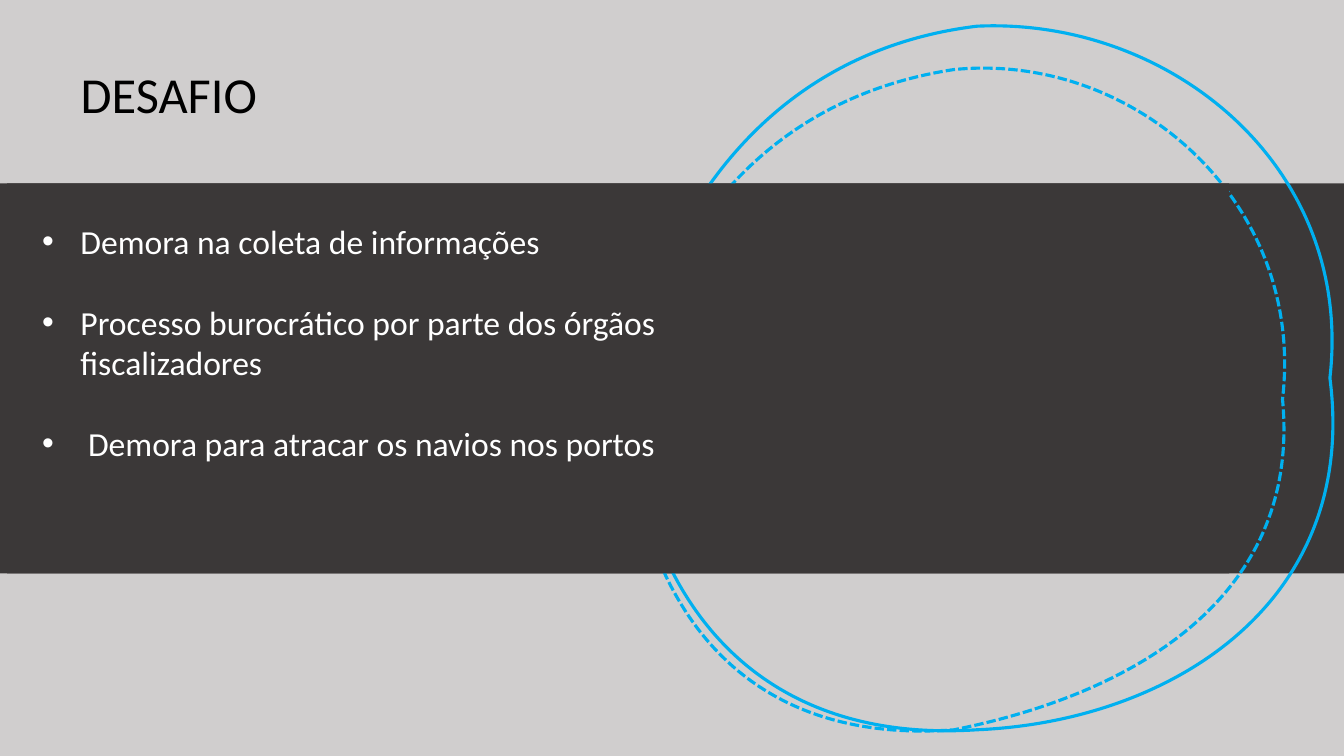
from dataclasses import dataclass

from lxml import etree
from pptx import Presentation
from pptx.dml.color import RGBColor
from pptx.enum.dml import MSO_LINE
from pptx.enum.shapes import MSO_SHAPE
from pptx.enum.text import MSO_ANCHOR, MSO_AUTO_SIZE, PP_ALIGN
from pptx.oxml.ns import qn
from pptx.util import Inches, Pt

RECT = MSO_SHAPE.RECTANGLE
DASH = MSO_LINE.SQUARE_DOT
TOP = MSO_ANCHOR.TOP
NO_FIT = MSO_AUTO_SIZE.NONE
LEFT = PP_ALIGN.LEFT


@dataclass(frozen=True)
class Theme:
    """Colours, font and sizes of the slide."""
    background: RGBColor = RGBColor(0xD0, 0xCE, 0xCE)
    band: RGBColor = RGBColor(0x3B, 0x38, 0x38)
    ring: RGBColor = RGBColor(0x00, 0xB0, 0xF0)
    title: RGBColor = RGBColor(0, 0, 0)
    body: RGBColor = RGBColor(0xFF, 0xFF, 0xFF)
    font: str = "Calibri"
    title_size: float = 36
    body_size: float = 24
    bullet_gap: float = 29
    ring_width: float = 2.25


THEME = Theme()
WIDTH, HEIGHT = 13.33, 7.5
BAND_TOP, BAND_HEIGHT = 1.82, 3.87
BULLET_INDENT = 0.38

CHALLENGES = [
    "Demora na coleta de informações",
    "Processo burocrático por parte dos órgãos fiscalizadores",
    " Demora para atracar os navios nos portos",
]

OUTER_RING = [
    (0, 3.49), (0.45, 1.62), (1.59, 0.23), (3.49, 0),
    (5.41, -0.09), (7.23, 1.4), (6.99, 3.49),
    (7.28, 5.73), (5.4, 6.9), (3.49, 6.98),
    (1.21, 7.13), (0.1, 5.59), (0, 3.49),
]
INNER_RING = [
    (0, 3.27), (0.41, 1.51), (1.49, 0.27), (3.26, 0),
    (5.05, -0.18), (6.75, 1.32), (6.52, 3.27),
    (6.71, 5.28), (4.97, 6.21), (3.26, 6.55),
    (1.1, 6.71), (0.1, 5.25), (0, 3.27),
]


def add_run(p, text, size, color):
    """Add one formatted run to a paragraph."""
    r = p.add_run()
    r.text = text
    r.font.name = THEME.font
    r.font.size = Pt(size)
    r.font.color.rgb = color


def add_title(s, text, x, y, w, h):
    """Place and format the title placeholder."""
    sp = s.shapes.title
    sp.left, sp.top, sp.width, sp.height = map(Inches, (x, y, w, h))
    tf = sp.text_frame
    tf.vertical_anchor = TOP
    tf.auto_size = NO_FIT
    p = tf.paragraphs[0]
    p.alignment = LEFT
    add_run(p, text, THEME.title_size, THEME.title)


def add_band(s, x, y, w, h):
    """Draw a dark horizontal band."""
    sp = s.shapes.add_shape(RECT, *map(Inches, (x, y, w, h)))
    sp.shadow.inherit = False
    sp.fill.solid()
    sp.fill.fore_color.rgb = THEME.band
    sp.line.fill.background()


def curve_segments(sp, nodes):
    """Turn each straight segment of a freeform into a cubic curve."""
    for i, line in enumerate(list(sp._element.iter(qn("a:lnTo")))):
        curve = etree.Element(qn("a:cubicBezTo"))
        for px, py in nodes[3 * i + 1:3 * i + 4]:
            pt = etree.SubElement(curve, qn("a:pt"))
            pt.set("x", str(Inches(px)))
            pt.set("y", str(Inches(py)))
        line.getparent().replace(line, curve)


def add_ring(s, x, y, nodes, dash=None):
    """Outline a closed ring of cubic curves from the box corner."""
    anchors = [(Inches(x + px), Inches(y + py)) for px, py in nodes[::3]]
    builder = s.shapes.build_freeform(*anchors[0])
    builder.add_line_segments(anchors[1:], close=True)
    sp = builder.convert_to_shape()
    curve_segments(sp, nodes)
    sp.shadow.inherit = False
    sp.fill.background()
    sp.line.color.rgb = THEME.ring
    sp.line.width = Pt(THEME.ring_width)
    if dash is not None:
        sp.line.dash_style = dash


def set_bullet(p):
    """Give a paragraph a hanging bullet."""
    pPr = p._p.get_or_add_pPr()
    pPr.set("marL", str(Inches(BULLET_INDENT)))
    pPr.set("indent", str(-Inches(BULLET_INDENT)))
    etree.SubElement(pPr, qn("a:buFont")).set("typeface", "Arial")
    etree.SubElement(pPr, qn("a:buChar")).set("char", "•")


def add_bullets(s, items, x, y, w, h):
    """Write the bullet list in the given box."""
    tf = s.shapes.add_textbox(*map(Inches, (x, y, w, h))).text_frame
    tf.word_wrap = True
    for i, text in enumerate(items):
        p = tf.paragraphs[0] if i == 0 else tf.add_paragraph()
        if i:
            p.space_before = Pt(THEME.bullet_gap)
        set_bullet(p)
        add_run(p, text, THEME.body_size, THEME.body)


def add_challenge_slide(prs):
    """Build the challenge slide from back to front."""
    s = prs.slides.add_slide(prs.slide_layouts[5])
    s.background.fill.solid()
    s.background.fill.fore_color.rgb = THEME.background
    add_title(s, "DESAFIO", 0.7, 0.58, 5.7, 0.71)
    add_band(s, 0.07, BAND_TOP, WIDTH - 0.07, BAND_HEIGHT)
    add_ring(s, 6.2, 0.26, OUTER_RING)
    add_ring(s, 6.2, 0.69, INNER_RING, DASH)
    add_band(s, 0, BAND_TOP, 12.19, BAND_HEIGHT)
    add_bullets(s, CHALLENGES, 0.32, 2.14, 7.1, 3.33)


def main():
    """Create and save the presentation."""
    prs = Presentation()
    prs.slide_width, prs.slide_height = Inches(WIDTH), Inches(HEIGHT)
    add_challenge_slide(prs)
    prs.save("out.pptx")


if __name__ == "__main__":
    main()
